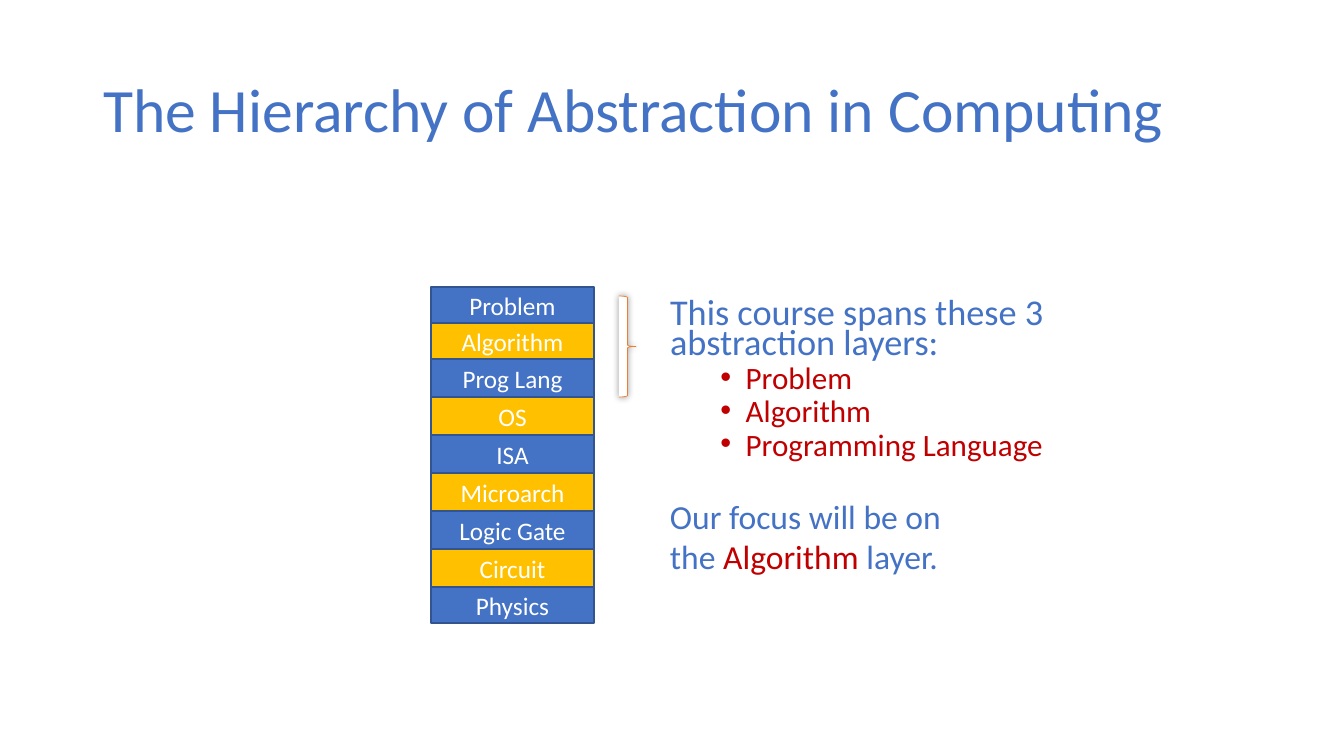
"""Build the slide on the hierarchy of abstraction in computing."""
from dataclasses import dataclass

from lxml import etree
from pptx import Presentation
from pptx.dml.color import RGBColor
from pptx.enum.shapes import MSO_SHAPE
from pptx.enum.text import MSO_ANCHOR, MSO_AUTO_SIZE, PP_ALIGN
from pptx.oxml.ns import qn
from pptx.util import Inches, Pt

RECTANGLE, BRACE = MSO_SHAPE.RECTANGLE, MSO_SHAPE.RIGHT_BRACE
LEFT, CENTER = PP_ALIGN.LEFT, PP_ALIGN.CENTER
TOP, MIDDLE = MSO_ANCHOR.TOP, MSO_ANCHOR.MIDDLE
NO_FIT = MSO_AUTO_SIZE.NONE
EMU_PER_PIXEL = 914400 / 100.8


@dataclass(frozen=True)
class Theme:
    """Colours, font and type sizes of the slide."""
    blue: str = "4472C4"
    gold: str = "FFC000"
    red: str = "C00000"
    orange: str = "ED7D31"
    edge: str = "325491"
    white: str = "FFFFFF"
    font: str = "Calibri"
    title: float = 44
    lead: float = 25.9
    bullet: float = 22.2
    focus: float = 24
    layer: float = 18


THEME = Theme()
LAYERS = [("Problem", 36), ("Algorithm", 36), ("Prog Lang", 38), ("OS", 38), ("ISA", 38),
          ("Microarch", 38), ("Logic Gate", 38), ("Circuit", 38), ("Physics", 36)]


def emu(box):
    """Turn pixel lengths into EMU."""
    return [round(length * EMU_PER_PIXEL) for length in box]


def place(shape, box):
    """Move and size a shape to a pixel box."""
    shape.left, shape.top, shape.width, shape.height = emu(box)


def add_span(para, text, size, color):
    """Add one formatted run to a paragraph."""
    span = para.add_run()
    span.text = text
    span.font.name = THEME.font
    span.font.size = Pt(size)
    span.font.color.rgb = RGBColor.from_string(color)


def set_bullet(para, margin, indent, mark=None):
    """Set the indents in inches and the bullet mark of a paragraph."""
    props = para._p.get_or_add_pPr()
    props.set("marL", str(Inches(margin)))
    props.set("indent", str(Inches(indent)))
    if mark:
        etree.SubElement(props, qn("a:buFont")).set("typeface", "Arial")
        etree.SubElement(props, qn("a:buChar")).set("char", mark)
    else:
        etree.SubElement(props, qn("a:buNone"))


def add_box(page, kind, box, fill, line, width):
    """Add a filled and outlined shape without a shadow."""
    shape = page.shapes.add_shape(kind, *emu(box))
    shape.shadow.inherit = False
    shape.fill.solid()
    shape.fill.fore_color.rgb = RGBColor.from_string(fill)
    shape.line.color.rgb = RGBColor.from_string(line)
    shape.line.width = Pt(width)
    return shape


def fill_title(page, box, text):
    """Place the title and write its text."""
    title = page.shapes.title
    place(title, box)
    frame = title.text_frame
    frame.auto_size = NO_FIT
    frame.vertical_anchor = MIDDLE
    para = frame.paragraphs[0]
    para.alignment = LEFT
    para.line_spacing = 0.9
    add_span(para, text, THEME.title, THEME.blue)


def add_stack(page, box, layers):
    """Stack the layers from the top of the box in alternating colours."""
    left, top, width, _ = box
    for index, (name, height) in enumerate(layers):
        fill = THEME.gold if index % 2 else THEME.blue
        shape = add_box(page, RECTANGLE, (left, top, width, height), fill, THEME.edge, 1)
        shape.text_frame.vertical_anchor = MIDDLE
        para = shape.text_frame.paragraphs[0]
        para.alignment = CENTER
        add_span(para, name, THEME.layer, THEME.white)
        top += height


def add_brace(page, box):
    """Add the brace with a soft glow of shadow around it."""
    brace = add_box(page, BRACE, box, THEME.white, THEME.orange, 0.5)
    effects = brace._element.spPr.find(qn("a:effectLst"))
    shadow = etree.SubElement(effects, qn("a:outerShdw"), blurRad=str(Pt(5)), dist="0", dir="0")
    color = etree.SubElement(shadow, qn("a:srgbClr"), val="000000")
    etree.SubElement(color, qn("a:alpha"), val="40000")


def fill_span_list(page, box, lead, items):
    """Write the lead sentence and its bulleted layers in the body."""
    body = page.placeholders[1]
    place(body, box)
    frame = body.text_frame
    frame.auto_size = NO_FIT
    frame.vertical_anchor = TOP
    for index, text in enumerate([lead, *items]):
        para = frame.add_paragraph() if index else frame.paragraphs[0]
        para.line_spacing = 0.7
        para.space_before = Pt(5 if index else 10)
        if index:
            para.level = 1
            set_bullet(para, 0.75, -0.25, "•")
            add_span(para, text, THEME.bullet, THEME.red)
        else:
            set_bullet(para, 0, 0)
            add_span(para, text, THEME.lead, THEME.blue)


def add_focus(page, box):
    """Add the closing sentence with its key word in red."""
    frame = page.shapes.add_textbox(*emu(box)).text_frame
    frame.word_wrap = True
    para = frame.paragraphs[0]
    for text, color in [("Our focus will be on the ", THEME.blue),
                        ("Algorithm", THEME.red), (" layer.", THEME.blue)]:
        add_span(para, text, THEME.focus, color)


def build_hierarchy(deck):
    """Add the hierarchy slide to the deck."""
    page = deck.slides.add_slide(deck.slide_layouts[1])
    fill_title(page, (93, 40, 1204, 146), "The Hierarchy of Abstraction in Computing")
    add_stack(page, (431, 287, 163, 336), LAYERS)
    fill_span_list(page, (660, 296, 492, 214), "This course spans these 3 abstraction layers:",
                   ["Problem", "Algorithm", "Programming Language"])
    add_brace(page, (619, 296, 17, 101))
    add_focus(page, (660, 491, 331, 92))


deck = Presentation()
deck.slide_width, deck.slide_height = emu((1344, 756))
build_hierarchy(deck)
deck.save("out.pptx")
